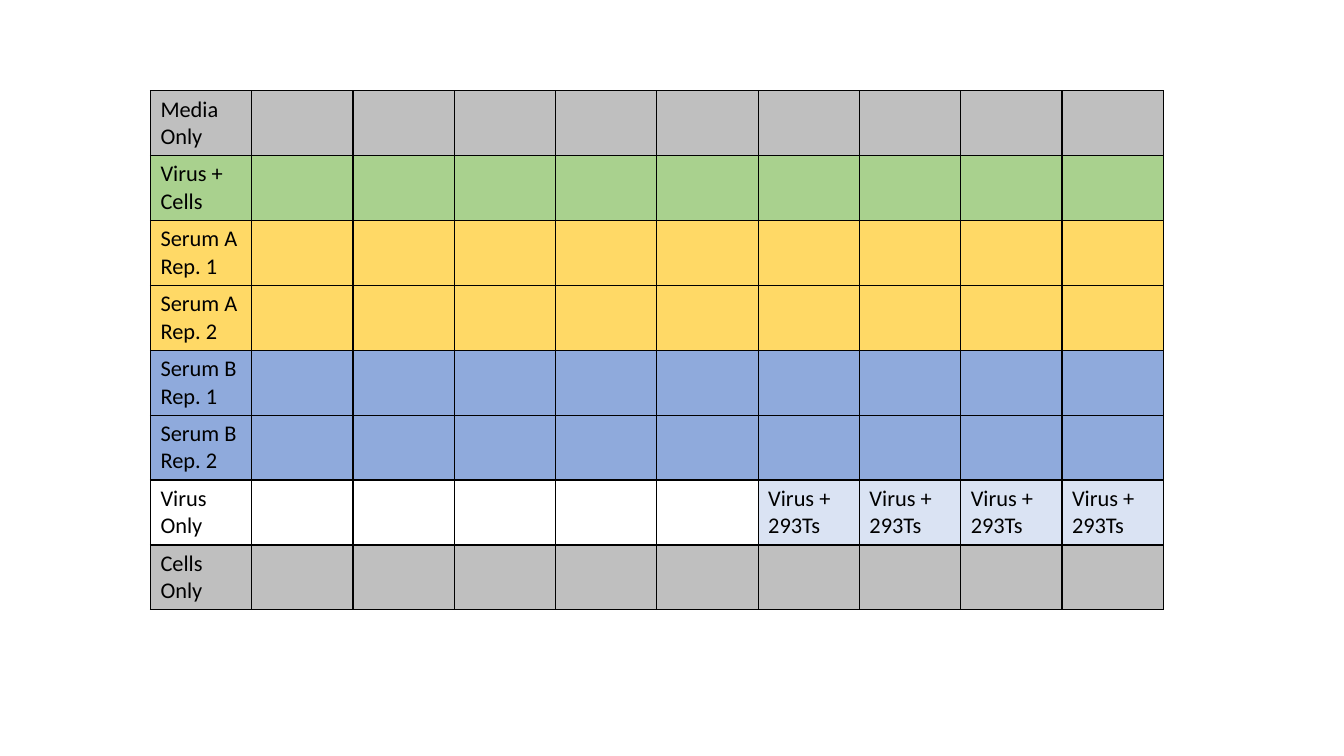
from lxml.etree import SubElement as Sub
from pptx import Presentation as Deck
from pptx.dml.color import RGBColor as Rgb
from pptx.oxml.ns import qn
from pptx.util import Pt

HUES = {"ink": "000000", "gray": "BFBFBF", "green": "A9D18E",
        "gold": "FFD966", "blue": "8FAADC", "pale": "DAE3F3"}
FONT = {"name": "Calibri", "size": Pt(16), "bold": False}
FLAGS = {"first_row": False, "horz_banding": False}
COLS = 10
CELLS = 4
ROWS = [("Media Only", "gray"), ("Virus + Cells", "green"),
        ("Serum A\nRep. 1", "gold"), ("Serum A\nRep. 2", "gold"),
        ("Serum B\nRep. 1", "blue"), ("Serum B\nRep. 2", "blue"),
        ("Virus Only", None), ("Cells Only", "gray")]


def apply(item, form):
    for key, val in form.items():
        setattr(item, key, val)


def edge(cell):
    props = cell._tc.get_or_add_tcPr()
    for side in ("lnL", "lnR", "lnT", "lnB"):
        line = Sub(props, qn(f"a:{side}"), w=str(Pt(1)))
        fill = Sub(line, qn("a:solidFill"))
        Sub(fill, qn("a:srgbClr"), val=HUES["ink"])


def paint(cell, hue):
    edge(cell)
    if hue:
        cell.fill.solid()
        cell.fill.fore_color.rgb = Rgb.from_string(HUES[hue])
    else:
        cell.fill.background()


def label(cell, text):
    cell.text = text
    for para in cell.text_frame.paragraphs:
        for run in para.runs:
            apply(run.font, FONT)
            run.font.color.rgb = Rgb.from_string(HUES["ink"])


def plate(slide, left, top, width, height):
    box = [Pt(n) for n in (left, top, width, height)]
    grid = slide.shapes.add_table(len(ROWS), COLS, *box).table
    apply(grid, FLAGS)
    for col in grid.columns:
        col.width = Pt(width / COLS)
    for r, (name, hue) in enumerate(ROWS):
        grid.rows[r].height = Pt(height / len(ROWS))
        for c in range(COLS):
            cell = grid.cell(r, c)
            mixed = name == "Virus Only" and c >= COLS - CELLS
            paint(cell, "pale" if mixed else hue)
            if mixed:
                label(cell, "Virus +\n293Ts" if c == COLS - CELLS else "Virus + 293Ts")
            elif c == 0:
                label(cell, name)


deck = Deck()
apply(deck, {"slide_width": Pt(960), "slide_height": Pt(540)})
slide = deck.slides.add_slide(deck.slide_layouts[6])
plate(slide, 107.5, 64.8, 723.6, 365)
deck.save("out.pptx")
